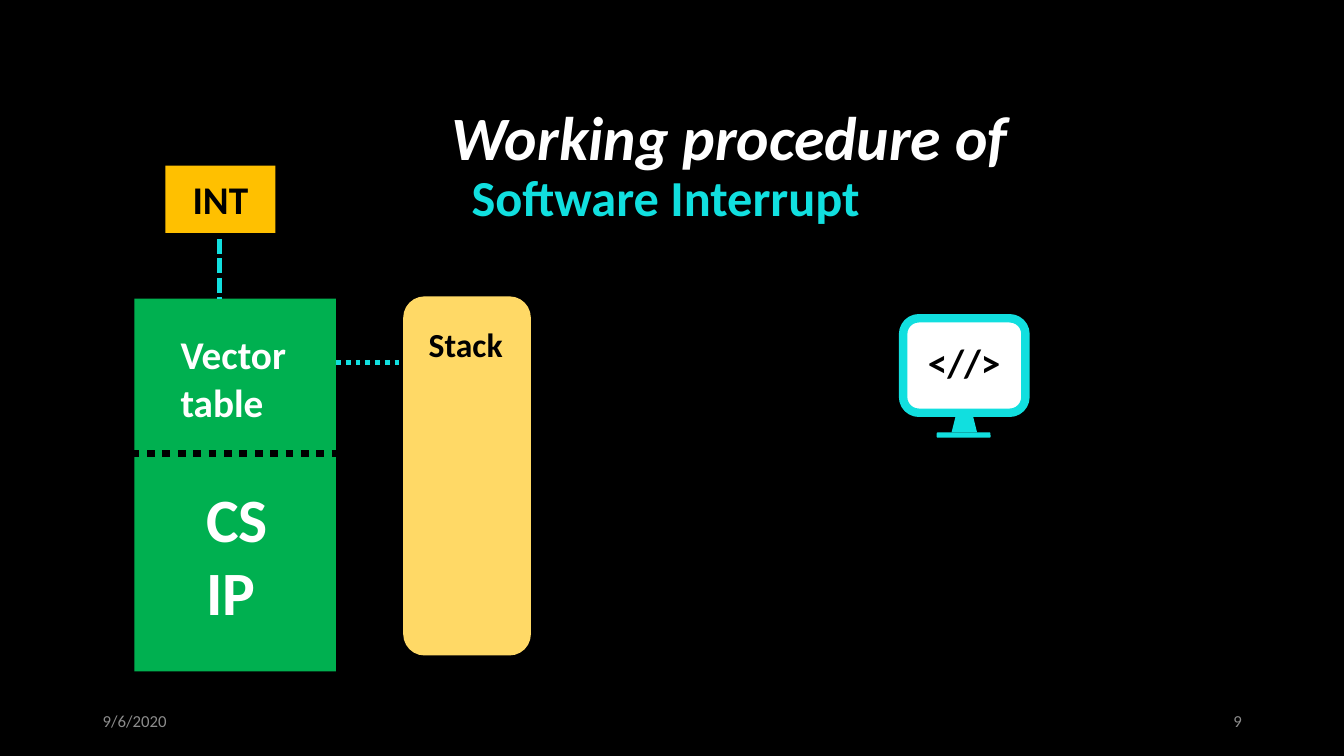
"""Build the slide on how a software interrupt works."""
import dataclasses
import typing

import lxml.etree
import pptx
import pptx.dml.color
import pptx.enum.dml
import pptx.enum.shapes
import pptx.enum.text
import pptx.oxml.ns
import pptx.util

WIDE = pptx.util.Inches(13.333)
HIGH = pptx.util.Inches(7.5)
FONT = "Calibri"
HUES = {
    "black": "000000", "white": "FFFFFF", "cyan": "11DFDF", "grey": "8C8C8C",
    "amber": "FFC000", "sand": "FFD966", "green": "00B050",
}
KIND = pptx.enum.shapes.MSO_SHAPE
DASH = pptx.enum.dml.MSO_LINE
ALIGN = pptx.enum.text.PP_ALIGN
MID = pptx.enum.text.MSO_ANCHOR.MIDDLE
TOP = pptx.enum.text.MSO_ANCHOR.TOP
GROW = pptx.enum.text.MSO_AUTO_SIZE.SHAPE_TO_FIT_TEXT
STILL = pptx.enum.text.MSO_AUTO_SIZE.NONE


@dataclasses.dataclass
class Area:
    """A box in percent of the slide's width and height."""
    left: float
    top: float
    width: float
    height: float


@dataclasses.dataclass
class Block:
    """A filled preset shape with an optional centred label."""
    area: Area
    fill: str
    kind: typing.Any = KIND.RECTANGLE
    edge: str = ""
    weight: float = 0
    label: str = ""
    size: float = 0


@dataclasses.dataclass
class Note:
    """A free text box."""
    area: Area
    text: str
    size: float
    hue: str = "white"
    bold: bool = True
    slant: bool = False
    align: typing.Any = ALIGN.LEFT
    anchor: typing.Any = TOP
    fit: typing.Any = GROW


@dataclasses.dataclass
class Link:
    """A dashed straight line, its ends in percent of the slide."""
    start: tuple[float, float]
    end: tuple[float, float]
    hue: str
    weight: float
    dash: typing.Any


Item = Block | Note | Link


def across(share: float) -> int:
    """Turn a percentage of the slide's width into a length."""
    return round(WIDE * share / 100)


def down(share: float) -> int:
    """Turn a percentage of the slide's height into a length."""
    return round(HIGH * share / 100)


def place(area: Area) -> tuple[int, int, int, int]:
    """Give left, top, width and height as lengths."""
    return (across(area.left), down(area.top),
            across(area.width), down(area.height))


def tint(name: str) -> pptx.dml.color.RGBColor:
    """Look up a colour by name."""
    return pptx.dml.color.RGBColor.from_string(HUES[name])


def write(shape: typing.Any, text: str, *, size: float, hue: str,
          bold: bool = True, slant: bool = False,
          align: typing.Any = ALIGN.CENTER, anchor: typing.Any = MID,
          fit: typing.Any = STILL) -> None:
    """Fill a shape with text, one paragraph for each line."""
    frame = shape.text_frame
    frame.word_wrap = True
    frame.auto_size = fit
    frame.vertical_anchor = anchor
    frame.text = text
    for para in frame.paragraphs:
        para.alignment = align
        font = para.runs[0].font
        font.name, font.size = FONT, pptx.util.Pt(size)
        font.bold, font.italic = bold, slant
        font.color.rgb = tint(hue)


def stroke(line: typing.Any, hue: str, weight: float) -> None:
    """Colour a line and set its width."""
    line.color.rgb = tint(hue)
    line.width = pptx.util.Pt(weight)


def block(shapes: typing.Any, item: Block) -> None:
    """Draw a preset shape."""
    shape = shapes.add_shape(item.kind, *place(item.area))
    shape.shadow.inherit = False
    shape.fill.solid()
    shape.fill.fore_color.rgb = tint(item.fill)
    if item.edge:
        stroke(shape.line, item.edge, item.weight)
    else:
        shape.line.fill.background()
    if item.label:
        write(shape, item.label, size=item.size, hue="black")


def note(shapes: typing.Any, item: Note) -> None:
    """Draw a text box."""
    write(shapes.add_textbox(*place(item.area)), item.text, size=item.size,
          hue=item.hue, bold=item.bold, slant=item.slant, align=item.align,
          anchor=item.anchor, fit=item.fit)


def link(shapes: typing.Any, item: Link) -> None:
    """Draw a dashed line without a shadow."""
    (x1, y1), (x2, y2) = item.start, item.end
    line = shapes.add_connector(pptx.enum.shapes.MSO_CONNECTOR.STRAIGHT,
                                across(x1), down(y1), across(x2), down(y2))
    stroke(line.line, item.hue, item.weight)
    line.line.dash_style = item.dash
    lxml.etree.SubElement(line._element.spPr,
                          pptx.oxml.ns.qn("a:effectLst"))


def draw(shapes: typing.Any, items: list[Item]) -> None:
    """Draw each item with the function for its type."""
    tools = {Block: block, Note: note, Link: link}
    for item in items:
        tools[type(item)](shapes, item)


def foot(left: float, text: str, align: typing.Any) -> Note:
    """Describe a small grey text at the slide's bottom."""
    return Note(Area(left, 92.7, 22.5, 5.3), text, 12, "grey", bold=False,
                align=align, anchor=MID, fit=STILL)


TITLE = [
    Note(Area(34.35, 21.3, 54.45, 9.5), "Software Interrupt", 36, "cyan"),
    Note(Area(32.85, 12.4, 58.95, 11.2), "Working procedure of", 44,
         slant=True),
    foot(6.9, "9/6/2020", ALIGN.LEFT),
    foot(70.65, "9", ALIGN.RIGHT),
]
SCREEN = [
    Block(Area(70.8, 54, 1.9, 3.2), "cyan", KIND.TRAPEZOID),
    Block(Area(67.2, 42.1, 9.1, 12.5), "white", KIND.ROUNDED_RECTANGLE,
          "cyan", 6),
    Block(Area(69.7, 57.2, 4, 0.7), "cyan", KIND.ROUNDED_RECTANGLE),
    Note(Area(68.3, 44.1, 7.4, 7.5), "<//>", 28, "black"),
]
STACK = [
    Block(Area(30, 39.2, 9.5, 47.5), "sand", KIND.ROUNDED_RECTANGLE),
    Block(Area(30.9, 42.3, 7.5, 6.4), "sand", edge="sand", weight=1,
          label="Stack", size=24),
]
TABLE = [
    Block(Area(10, 39.5, 15, 49.3), "green"),
    Link((9.8, 60), (25.3, 60), "black", 5.5, DASH.ROUND_DOT),
    Note(Area(12.7, 43.1, 10.4, 13.9), "Vector\ntable", 28),
    Note(Area(14.6, 62.9, 10.4, 21.1), "CS\nIP", 44),
]
CALL = [
    Block(Area(12.3, 21.9, 8.2, 8.9), "amber", label="INT", size=28),
    Link((16.35, 31.6), (16.35, 39.5), "cyan", 3.5, DASH.SQUARE_DOT),
    Link((25, 47.9), (30, 47.9), "cyan", 3.5, DASH.ROUND_DOT),
]


def main() -> None:
    """Build and save the slide."""
    deck = pptx.Presentation()
    deck.slide_width, deck.slide_height = WIDE, HIGH
    slide = deck.slides.add_slide(deck.slide_layouts[6])
    slide.background.fill.solid()
    slide.background.fill.fore_color.rgb = tint("black")
    draw(slide.shapes, TITLE)
    for part in (SCREEN, STACK, TABLE):
        draw(slide.shapes.add_group_shape().shapes, part)
    draw(slide.shapes, CALL)
    deck.save("out.pptx")


if __name__ == "__main__":
    main()
